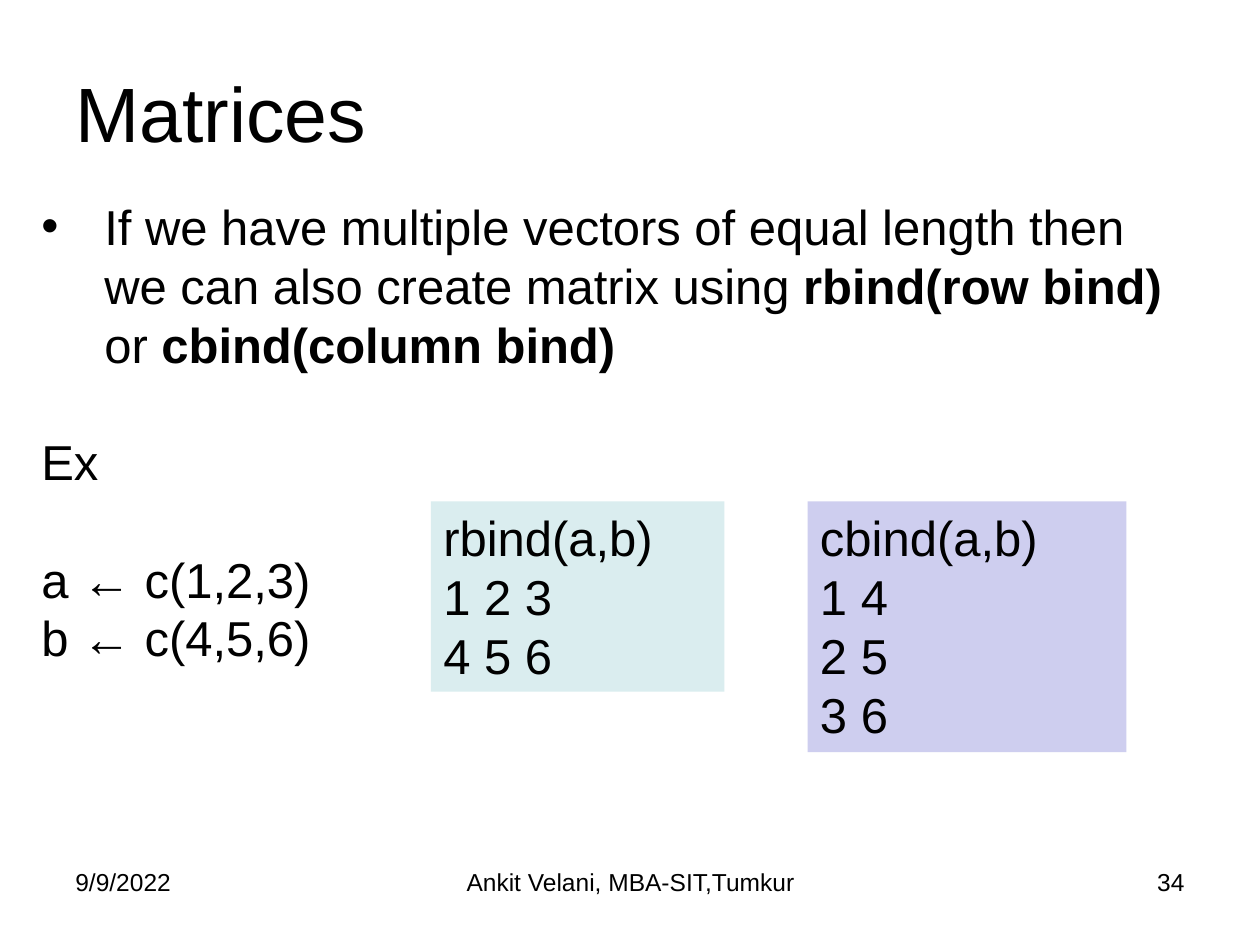
from dataclasses import dataclass

from lxml import etree
from pptx import Presentation
from pptx.dml.color import RGBColor
from pptx.enum import shapes, text
from pptx.oxml import ns
from pptx.util import Inches, Pt

COLORS = {"ink": "000000", "row": "DAEDEF", "column": "CECEEF"}
FONT = "Arial"
BODY_SIZE = 28
BLANK_LINE = 33.5
LEFT, CENTER, RIGHT = (
    text.PP_ALIGN.LEFT, text.PP_ALIGN.CENTER, text.PP_ALIGN.RIGHT)


@dataclass(frozen=True)
class Line:
    runs: tuple[tuple[str, bool], ...]
    bullet: bool = False
    before: float = 0


@dataclass(frozen=True)
class Block:
    box: tuple[float, float, float, float]
    lines: tuple[Line, ...]
    size: float = BODY_SIZE
    align: text.PP_ALIGN = LEFT
    anchor: text.MSO_ANCHOR = text.MSO_ANCHOR.TOP
    fill: str = ""


def plain(wording: str, before: float = 0) -> Line:
    return Line(((wording, False),), before=before)


def add_bullet(paragraph) -> None:
    properties = paragraph._p.get_or_add_pPr()
    for name, inches in {"marL": 0.5, "indent": -0.5}.items():
        properties.set(name, str(Inches(inches)))
    for tag, name, value in (("a:buFont", "typeface", FONT), ("a:buChar", "char", "•")):
        etree.SubElement(properties, ns.qn(tag)).set(name, value)


def write_line(paragraph, line: Line, block: Block) -> None:
    for name, value in {"alignment": block.align, "space_before": Pt(line.before)}.items():
        setattr(paragraph, name, value)
    if line.bullet:
        add_bullet(paragraph)
    for wording, bold in line.runs:
        run = paragraph.add_run()
        run.text = wording
        for name, value in {"name": FONT, "size": Pt(block.size), "bold": bold}.items():
            setattr(run.font, name, value)
        run.font.color.rgb = RGBColor.from_string(COLORS["ink"])


def draw_block(slide, block: Block) -> None:
    place = [Inches(length) for length in block.box]
    if block.fill:
        panel = slide.shapes.add_shape(shapes.MSO_SHAPE.RECTANGLE, *place)
        panel.shadow.inherit = False
        panel.fill.solid()
        panel.fill.fore_color.rgb = RGBColor.from_string(COLORS[block.fill])
        panel.line.fill.background()
        fit = text.MSO_AUTO_SIZE.SHAPE_TO_FIT_TEXT
    else:
        panel = slide.shapes.add_textbox(*place)
        fit = text.MSO_AUTO_SIZE.NONE
    frame = panel.text_frame
    frame_format = {
        "word_wrap": True,
        "auto_size": fit,
        "vertical_anchor": block.anchor,
        "margin_left": Inches(0.1),
        "margin_right": Inches(0.1),
        "margin_top": Inches(0.05),
        "margin_bottom": Inches(0.05),
    }
    for name, value in frame_format.items():
        setattr(frame, name, value)
    for index, line in enumerate(block.lines):
        paragraph = frame.add_paragraph() if index else frame.paragraphs[0]
        write_line(paragraph, line, block)


EXPLANATION = Line(
    (
        ("If we have multiple vectors of equal length then we can also create matrix using ", False),
        ("rbind(row bind) ", True),
        ("or ", False),
        ("cbind(column bind)", True),
    ),
    bullet=True,
)

FOOTER = (
    (0.5, 2.33, "9/9/2022", LEFT),
    (3.42, 3.17, "Ankit Velani, MBA-SIT,Tumkur", CENTER),
    (7.17, 2.33, "34", RIGHT),
)

BLOCKS = (
    *(
        Block((left, 6.83, width, 0.52), (plain(wording),), 14, align)
        for left, width, wording, align in FOOTER
    ),
    Block((0.5, 0.26, 9, 1.25), (plain("Matrices"),), 44, anchor=text.MSO_ANCHOR.MIDDLE),
    Block(
        (0.23, 1.51, 9.27, 4.95),
        (
            EXPLANATION,
            plain("Ex", BLANK_LINE),
            plain("a ← c(1,2,3)", BLANK_LINE),
            plain("b ← c(4,5,6)"),
        ),
    ),
    Block(
        (3.42, 3.98, 2.33, 1.51),
        tuple(map(plain, ("rbind(a,b)", "1 2 3", "4 5 6"))),
        fill="row",
    ),
    Block(
        (6.41, 3.98, 2.53, 1.99),
        tuple(map(plain, ("cbind(a,b)", "1 4", "2 5", "3 6"))),
        fill="column",
    ),
)


def main() -> None:
    deck = Presentation()
    deck.slide_width, deck.slide_height = Inches(10), Inches(7.5)
    slide = deck.slides.add_slide(deck.slide_layouts[6])
    for block in BLOCKS:
        draw_block(slide, block)
    deck.save("out.pptx")


if __name__ == "__main__":
    main()
